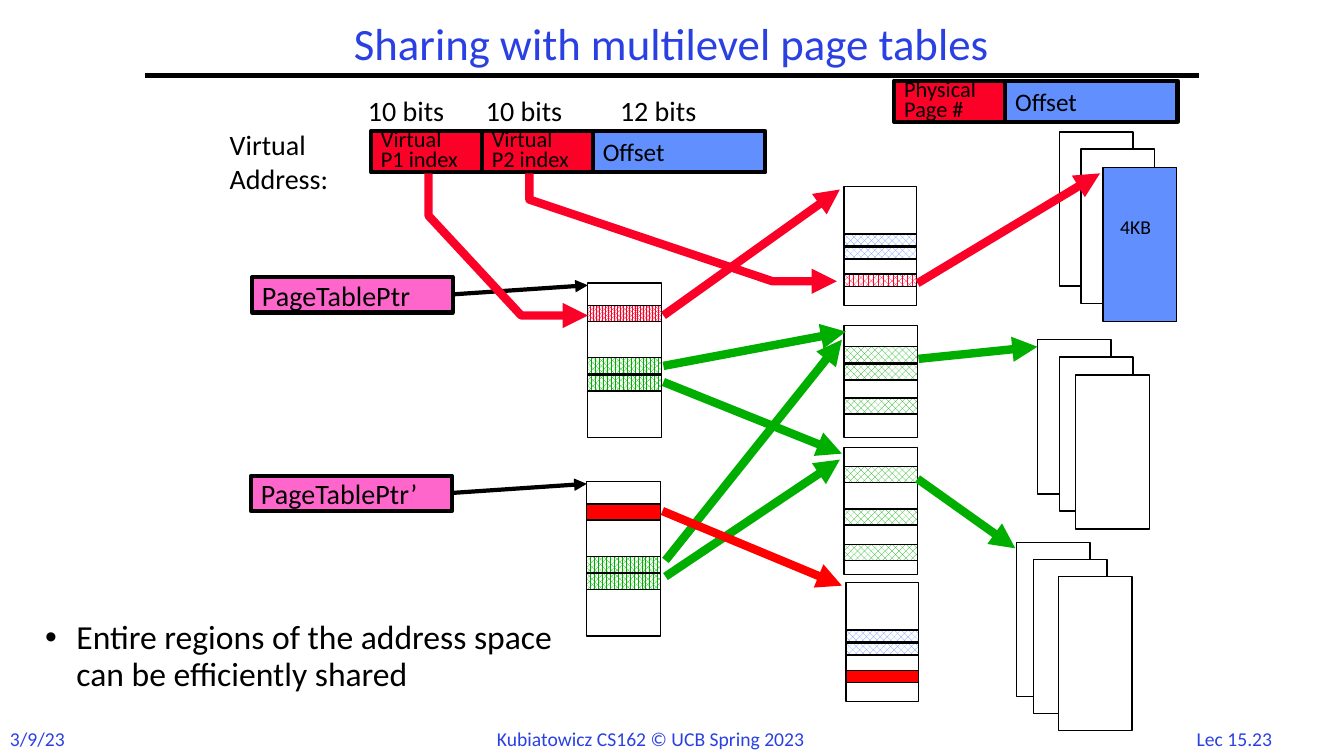
from lxml.etree import SubElement
from pptx import Presentation
from pptx.dml.color import RGBColor
from pptx.enum.dml import MSO_PATTERN
from pptx.enum.shapes import MSO_CONNECTOR, MSO_SHAPE
from pptx.enum.text import MSO_ANCHOR, MSO_AUTO_SIZE, PP_ALIGN
from pptx.oxml.ns import qn
from pptx.util import Inches, Pt

# The grid has columns and rows of one inch.
COLS, ROWS = 13.33, 7.5
BLACK, WHITE, BLUE, INK = "000000", "FFFFFF", "618FFD", "2A40E2"
RED, PURE, GREEN, PINK = "FC0128", "FF0000", "00AE00", "FF66CC"
P50, P70 = MSO_PATTERN.PERCENT_50, MSO_PATTERN.PERCENT_70
P75, P80 = MSO_PATTERN.PERCENT_75, MSO_PATTERN.PERCENT_80

deck = Presentation()
deck.slide_width, deck.slide_height = Inches(COLS), Inches(ROWS)
shapes = deck.slides.add_slide(deck.slide_layouts[6]).shapes


def grid(*cells):
    return [Inches(cell) for cell in cells]


def paint(color, code):
    color.rgb = RGBColor.from_string(code)


def write(shape, text, size=20, color=BLACK, align=PP_ALIGN.LEFT, space=1,
          wrap=False, anchor=MSO_ANCHOR.TOP, pad=(0.1, 0.05), grow=False):
    frame = shape.text_frame
    frame.text = text
    frame.word_wrap = wrap
    frame.vertical_anchor = anchor
    frame.auto_size = MSO_AUTO_SIZE.SHAPE_TO_FIT_TEXT if grow else MSO_AUTO_SIZE.NONE
    frame.margin_left = frame.margin_right = Inches(pad[0])
    frame.margin_top = frame.margin_bottom = Inches(pad[1])
    for para in frame.paragraphs:
        para.alignment, para.line_spacing = align, space
        para.font.size, para.font.name = Pt(size), "Calibri"
        paint(para.font.color, color)
    return frame


def label(box, text, **style):
    return write(shapes.add_textbox(*grid(*box)), text, **style)


def rect(box, fill=None, pattern=None, line=1):
    shape = shapes.add_shape(MSO_SHAPE.RECTANGLE, *grid(*box))
    shape.shadow.inherit = False
    if pattern is not None:
        shape.fill.patterned()
        shape.fill.pattern = pattern
        paint(shape.fill.fore_color, fill)
        paint(shape.fill.back_color, WHITE)
    elif fill:
        shape.fill.solid()
        paint(shape.fill.fore_color, fill)
    else:
        shape.fill.background()
    paint(shape.line.color, BLACK)
    shape.line.width = Pt(line)
    return shape


def stroke(shape, color, width, head=True):
    paint(shape.line.color, color)
    shape.line.width = Pt(width)
    if head:
        SubElement(shape.line._get_or_add_ln(), qn("a:tailEnd"), type="triangle")


def line(start, end, color=BLACK, width=6, head=True):
    link = shapes.add_connector(MSO_CONNECTOR.STRAIGHT, *grid(*start, *end))
    stroke(link, color, width, head)
    SubElement(link._element.spPr, qn("a:effectLst"))


def bend(points, color):
    """Draw an arrow through several points."""
    first, *rest = [grid(*point) for point in points]
    pen = shapes.build_freeform(*first)
    pen.add_line_segments(rest, close=False)
    shape = pen.convert_to_shape()
    shape.shadow.inherit = False
    shape.fill.background()
    stroke(shape, color, 6)


def frame():
    """Draw the title, its rule and the footer."""
    label((1.44, 0.17, 10.44, 0.58), "Sharing with multilevel page tables", size=32,
          color=INK, align=PP_ALIGN.CENTER, space=0.9, wrap=True,
          anchor=MSO_ANCHOR.MIDDLE)
    line((1.44, 0.75), (11.89, 0.75), width=3, head=False)
    for left, width, text in ((0, 0.75, "3/9/23"), (11.77, 1.08, "Lec 15.23"),
                              (4.83, 3.68, "Kubiatowicz CS162 © UCB Spring 2023")):
        label((left, 7.16, width, 0.34), text, size=14, color=INK, grow=True)


def point(box, text):
    body = label(box, text, size=24, space=0.9, wrap=True)
    para = body.paragraphs[0]
    para.space_before = Pt(7)
    props = para._p.get_or_add_pPr()
    props.set("marL", str(Inches(0.31)))
    props.set("indent", str(-Inches(0.31)))
    SubElement(props, qn("a:buFont"), typeface="Arial")
    SubElement(props, qn("a:buChar"), char="•")


def address(left, top, *names):
    """Draw red index fields followed by the blue offset."""
    tall, step = 0.41, 1.1
    end = left + step * len(names)
    write(rect((end, top, 1.71, tall), BLUE, line=3), "Offset", size=18,
          anchor=MSO_ANCHOR.MIDDLE)
    for i, name in enumerate(names):
        write(rect((left + i * step, top, step, tall), RED, line=3), name,
              size=16, space=0.75, anchor=MSO_ANCHOR.MIDDLE)


def bits(left, top):
    for shift, text in ((0, "10 bits"), (1.17, "10 bits"), (2.5, "12 bits")):
        label((left + shift, top, 0.97, 0.36), text, space=0.9, pad=(0.07, 0.03),
              grow=True)


def table(box, slots, tall=0.16):
    """Draw a page table; each slot is its drop from the top, colour, pattern."""
    left, top, width, _ = box
    rect(box)
    for drop, color, pattern in slots:
        rect((left, top + drop, width, tall), color, pattern)


def root(left, top, name, first):
    """Draw a pointer and the first-level table it leads to."""
    table((left + 3.33, top + 0.06, 0.73, 1.53),
          [(0.22, *first), (0.74, GREEN, P75), (0.91, GREEN, P75)])
    write(rect((left, top, 1.99, 0.35), PINK, line=3), name,
          anchor=MSO_ANCHOR.MIDDLE)
    line((left + 2, top + 0.17), (left + 3.33, top + 0.08), width=3)


def private(left, top, used):
    table((left, top, 0.72, 1.18),
          [(0.47, BLUE, P50), (0.6, BLUE, P50), (0.87, *used)], tall=0.12)


def shared(left, top, height, drops):
    table((left, top, 0.73, height), [(drop, GREEN, P50) for drop in drops])


def pages(left, top, shifts, front=WHITE):
    """Stack three pages, the last in front."""
    for (right, down), fill in zip(shifts, (WHITE, WHITE, front)):
        rect((left + right, top + down, 0.73, 1.53), fill)


frame()
point((0.35, 6.11, 5.43, 0.96),
      "Entire regions of the address space can be efficiently shared")
address(8.87, 0.8, "Physical\nPage #")
pages(10.51, 1.31, ((0, 0), (0.21, 0.17), (0.43, 0.35)), BLUE)
label((11.04, 2.13, 0.51, 0.27), "4KB", size=14, space=0.9, pad=(0.07, 0.03),
      grow=True)
pages(10.29, 3.37, ((0, 0), (0.22, 0.17), (0.38, 0.35)))
pages(10.08, 5.38, ((0, 0), (0.17, 0.17), (0.42, 0.34)))
bits(3.58, 0.94)
label((2.18, 1.22, 1.31, 0.77), "Virtual\nAddress:", grow=True)
address(3.68, 1.3, "Virtual\nP1 index", "Virtual\nP2 index")

root(2.5, 2.75, "PageTablePtr", (RED, P80))
root(2.49, 4.72, "PageTablePtr’", (PURE, None))
private(8.37, 1.85, (RED, P70))
shared(8.37, 3.23, 1.11, (0.21, 0.38, 0.72))
shared(8.37, 4.44, 1.26, (0.19, 0.61, 0.96))
private(8.39, 5.78, (PURE, None))

bend(((4.25, 1.72), (4.25, 2.14), (5.17, 3.13), (5.83, 3.13)), RED)
bend(((5.25, 1.72), (5.25, 1.98), (7.66, 2.79), (8.3, 2.79)), RED)
for start, end, color in (
        ((6.58, 3.13), (8.33, 1.88), RED), ((6.58, 3.63), (8.39, 3.29), GREEN),
        ((6.58, 3.79), (8.35, 4.5), GREEN), ((6.6, 5.72), (8.33, 4.56), GREEN),
        ((6.6, 5.56), (8.35, 3.37), GREEN), ((6.57, 5.07), (8.35, 5.81), PURE),
        ((9.1, 2.81), (10.91, 1.72), RED), ((9.11, 3.56), (10.29, 3.44), GREEN),
        ((9.1, 4.75), (10.07, 5.44), GREEN)):
    line(start, end, color)

deck.save("out.pptx")
